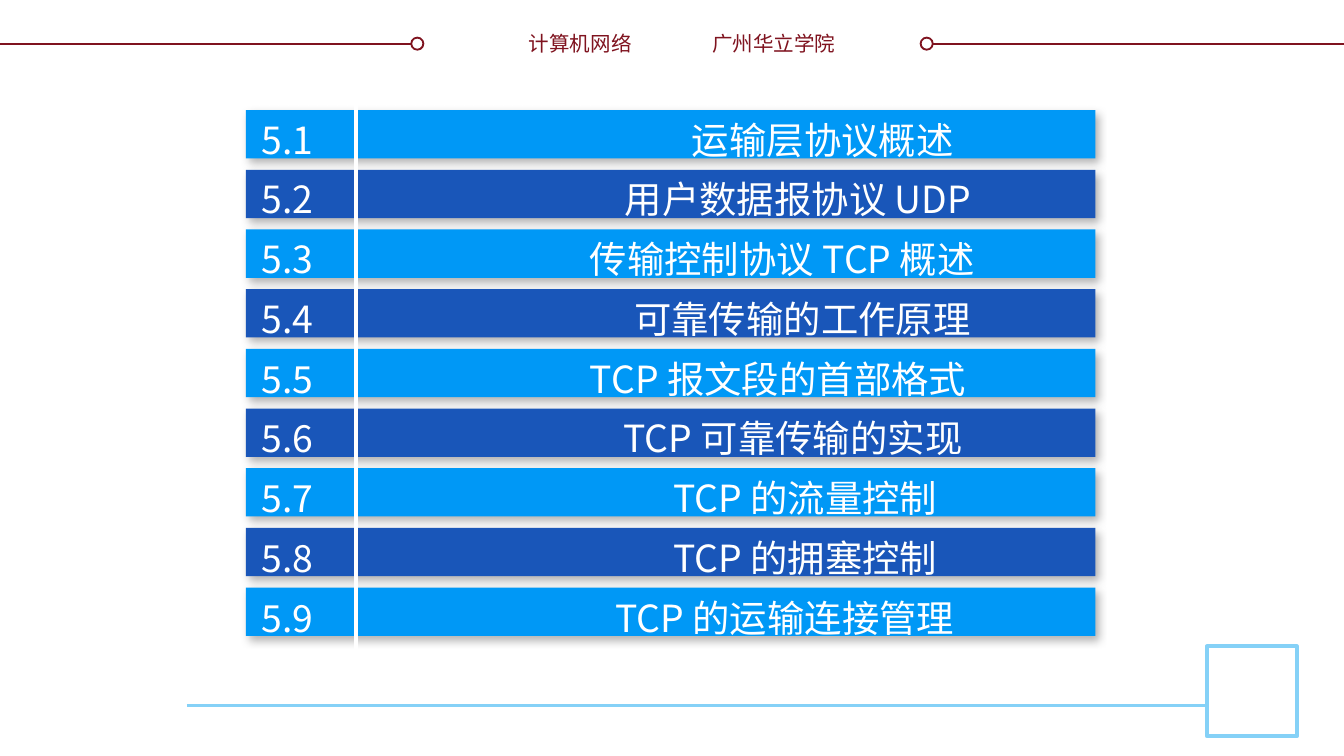
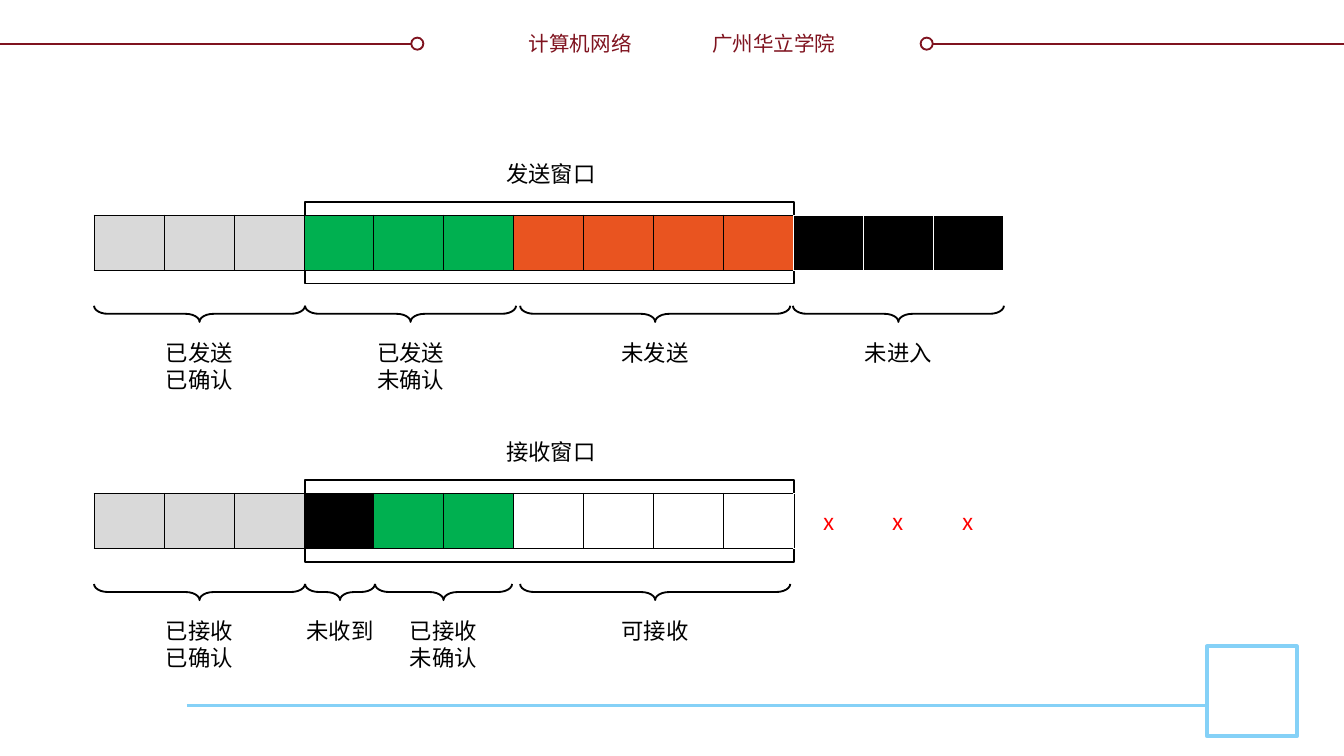
from dataclasses import dataclass

from lxml.etree import SubElement as Sub
from pptx import Presentation
from pptx.dml.color import RGBColor as Rgb
from pptx.enum.shapes import MSO_CONNECTOR as Conn, MSO_SHAPE as Kind
from pptx.enum.text import MSO_ANCHOR as Anchor, PP_ALIGN as Align
from pptx.oxml.ns import qn
from pptx.util import Emu, Inches, Pt

# The slide is a grid of 100 columns; rows are as tall as columns are wide
WIDE, HIGH = Inches(10), Inches(5.625)
COLS = 100
CELL = WIDE // COLS


@dataclass(frozen=True)
class Theme:
    wine: str = "7F131F"
    sky: str = "85D1F7"
    azure: str = "0098F6"
    navy: str = "1956B9"
    gray: str = "D9D9D9"
    green: str = "00B050"
    orange: str = "E95420"
    red: str = "FF0000"
    black: str = "000000"
    white: str = "FFFFFF"
    sans: str = "Noto Sans CJK SC"
    head: str = "Montserrat"
    small: float = 11
    body: float = 12
    large: float = 20


T = Theme()

# Chapter list: number, heading, tab position in cells
TOPICS = [
    ("5.1", "运输层协议概述", 32),
    ("5.2", "用户数据报协议 UDP", 27),
    ("5.3", "传输控制协议 TCP 概述", 24.4),
    ("5.4", "可靠传输的工作原理", 27.7),
    ("5.5", "TCP 报文段的首部格式", 24.4),
    ("5.6", "TCP 可靠传输的实现", 26.9),
    ("5.7", "TCP 的流量控制", 30.6),
    ("5.8", "TCP 的拥塞控制", 30.6),
    ("5.9", "TCP 的运输连接管理", 26.3),
]

# Sliding windows: cell fills, marks, and braces as (start, end, lines)
SEND = dict(
    name="发送窗口",
    fills=[T.gray] * 3 + [T.green] * 3 + [T.orange] * 4 + [T.black] * 3,
    mark="",
    spans=[
        (7, 22.7, ["已发送", "已确认"]),
        (22.7, 38.4, ["已发送", "未确认"]),
        (38.7, 58.8, ["未发送"]),
        (59, 74.7, ["未进入"]),
    ],
)
TAKE = dict(
    name="接收窗口",
    fills=[T.gray] * 3 + [T.black] + [T.green] * 2 + [None] * 7,
    mark="x",
    spans=[
        (7, 22.7, ["已接收", "已确认"]),
        (22.7, 27.9, ["未收到"]),
        (27.9, 38.1, ["已接收", "未确认"]),
        (38.7, 58.8, ["可接收"]),
    ],
)


def grid(*cells):
    return [Emu(round(c * CELL)) for c in cells]


def paint(shape, fill=None, line=None, width=1):
    if fill:
        shape.fill.solid()
        shape.fill.fore_color.rgb = Rgb.from_string(fill)
    else:
        shape.fill.background()
    if line:
        shape.line.color.rgb = Rgb.from_string(line)
        shape.line.width = Pt(width)
    else:
        shape.line.fill.background()


def add_box(slide, kind, at, **look):
    shape = slide.shapes.add_shape(kind, *grid(*at))
    shape.shadow.inherit = False
    paint(shape, **look)
    return shape


def add_line(slide, start, end, color, width=1):
    line = slide.shapes.add_connector(Conn.STRAIGHT, *grid(*start, *end))
    line.line.color.rgb = Rgb.from_string(color)
    line.line.width = Pt(width)
    Sub(line._element.spPr, qn("a:effectLst"))
    return line


def add_run(para, text, size, color, font=T.sans):
    run = para.add_run()
    run.text = text
    run.font.size = Pt(size)
    run.font.name = font
    run.font.color.rgb = Rgb.from_string(color)
    Sub(run._r.get_or_add_rPr(), qn("a:ea"), typeface=T.sans)


def add_text(slide, at, lines, size=T.body, color=T.black,
             font=T.sans, align=Align.CENTER, wrap=False):
    box = slide.shapes.add_textbox(*grid(*at))
    frame = box.text_frame
    frame.word_wrap = wrap
    for i, text in enumerate(lines):
        para = frame.add_paragraph() if i else frame.paragraphs[0]
        para.alignment = align
        add_run(para, text, size, color, font)
    return box


def add_shade(shape):
    """Soft shadow to the lower right."""
    props = shape._element.spPr
    effects = props.find(qn("a:effectLst"))
    shade = Sub(effects, qn("a:outerShdw"), blurRad=str(Pt(4.5)),
                dist=str(Pt(2.6)), dir=str(53 * 60000),
                algn="tl", rotWithShape="0")
    tone = Sub(shade, qn("a:srgbClr"), val=T.black)
    Sub(tone, qn("a:alpha"), val="30000")


def add_frame(slide, layout):
    """Header rules, header text and corner box, kept on the layout."""
    old = len(slide.shapes)
    # Header
    for start, end, dot in ((0, 31.5, 30.6), (68.5, COLS, 68.5)):
        add_line(slide, (start, 3.3), (end, 3.3), T.wine)
        add_box(slide, Kind.OVAL, (dot, 2.8, 0.9, 0.9),
                fill=T.white, line=T.wine)
    add_text(slide, (52, 1.8, 11.6, 2.9), ["广州华立学院"], T.small,
             T.wine, align=Align.LEFT, wrap=True)
    add_text(slide, (38.3, 1.8, 9.7, 2.9), ["计算机网络"], T.small,
             T.wine, align=Align.RIGHT)
    # Footer
    add_line(slide, (13.9, 52.5), (89.8, 52.5), T.sky, 1.5)
    add_box(slide, Kind.RECTANGLE, (89.8, 48.1, 6.7, 6.7),
            fill=T.white, line=T.sky, width=2)
    for shape in list(slide.shapes)[old:]:
        layout.shapes._spTree.append(shape._element)


def add_topics(slide):
    # Striped bars
    pitch = 4.44
    for i in range(len(TOPICS)):
        bar = add_box(slide, Kind.RECTANGLE,
                      (18.3, 8.2 + i * pitch, 63.2, 3.6),
                      fill=T.navy if i % 2 else T.azure)
        add_shade(bar)
    add_line(slide, (26.5, 6.8), (26.5, 49.7), T.white, 2.25)
    # Numbers and headings, parted by a tab
    lines = [f"{num}\t{name}" for num, name, _ in TOPICS]
    box = add_text(slide, (18.5, 7.1, 62.8, 41.4), lines, T.large,
                   T.white, align=Align.LEFT, wrap=True)
    for para, (_, _, stop) in zip(box.text_frame.paragraphs, TOPICS):
        para.line_spacing = Pt(32)
        tabs = Sub(para._p.get_or_add_pPr(), qn("a:tabLst"))
        Sub(tabs, qn("a:tab"), pos=str(grid(stop)[0]), algn="l")


def set_edges(cell, colors):
    props = cell._tc.get_or_add_tcPr()
    for side, color in zip("LRTB", colors):
        edge = Sub(props, qn(f"a:ln{side}"), w=str(Pt(0.5)))
        fill = Sub(edge, qn("a:solidFill"))
        Sub(fill, qn("a:srgbClr"), val=color)


def add_strip(slide, top, fills, mark):
    """One row of numbered-byte cells; the last three lie past the window."""
    count, tail = len(fills), len(fills) - 3
    table = slide.shapes.add_table(
        1, count, *grid(7, top, 67.7, 4.1)).table
    table.first_row = table.horz_banding = False
    for i, fill in enumerate(fills):
        cell = table.cell(0, i)
        cell.margin_top = cell.margin_bottom = 0
        cell.vertical_anchor = Anchor.MIDDLE
        edges = [T.white if i >= tail else T.black] * 4
        if i == tail - 1:
            edges[1] = T.white
        set_edges(cell, edges)
        if fill:
            cell.fill.solid()
            cell.fill.fore_color.rgb = Rgb.from_string(fill)
        else:
            cell.fill.background()
        if mark and i >= tail:
            para = cell.text_frame.paragraphs[0]
            para.alignment = Align.CENTER
            add_run(para, mark, T.body, T.red)


def add_brace(slide, start, end, top, lines):
    """Brace that points down at its label."""
    mid, span, thick = (start + end) / 2, end - start, 1.2
    brace = add_box(slide, Kind.LEFT_BRACE,
                    (mid - thick / 2, top + (thick - span) / 2, thick, span),
                    line=T.black)
    brace.rotation = 270
    brace.adjustments[0] = 0.869
    add_text(slide, (mid - 3.55, top + 2, 7.1, 1 + 2 * len(lines)), lines)


def add_window(slide, top, name, fills, mark, spans):
    add_box(slide, Kind.RECTANGLE, (22.7, top + 3.6, 36.4, 6.1),
            line=T.black)
    add_text(slide, (36.6, top, 8.8, 3), [name], font=T.head)
    add_strip(slide, top + 4.6, fills, mark)
    for start, end, lines in spans:
        add_brace(slide, start, end, top + 11.35, lines)


def main():
    deck = Presentation()
    deck.slide_width, deck.slide_height = WIDE, HIGH
    blank = deck.slide_layouts[6]

    # Chapter list
    first = deck.slides.add_slide(blank)
    add_frame(first, blank)
    add_topics(first)

    # Send and receive windows
    second = deck.slides.add_slide(blank)
    for i, window in enumerate((SEND, TAKE)):
        add_window(second, 11.4 + i * 20.7, **window)

    deck.save("out.pptx")


if __name__ == "__main__":
    main()
